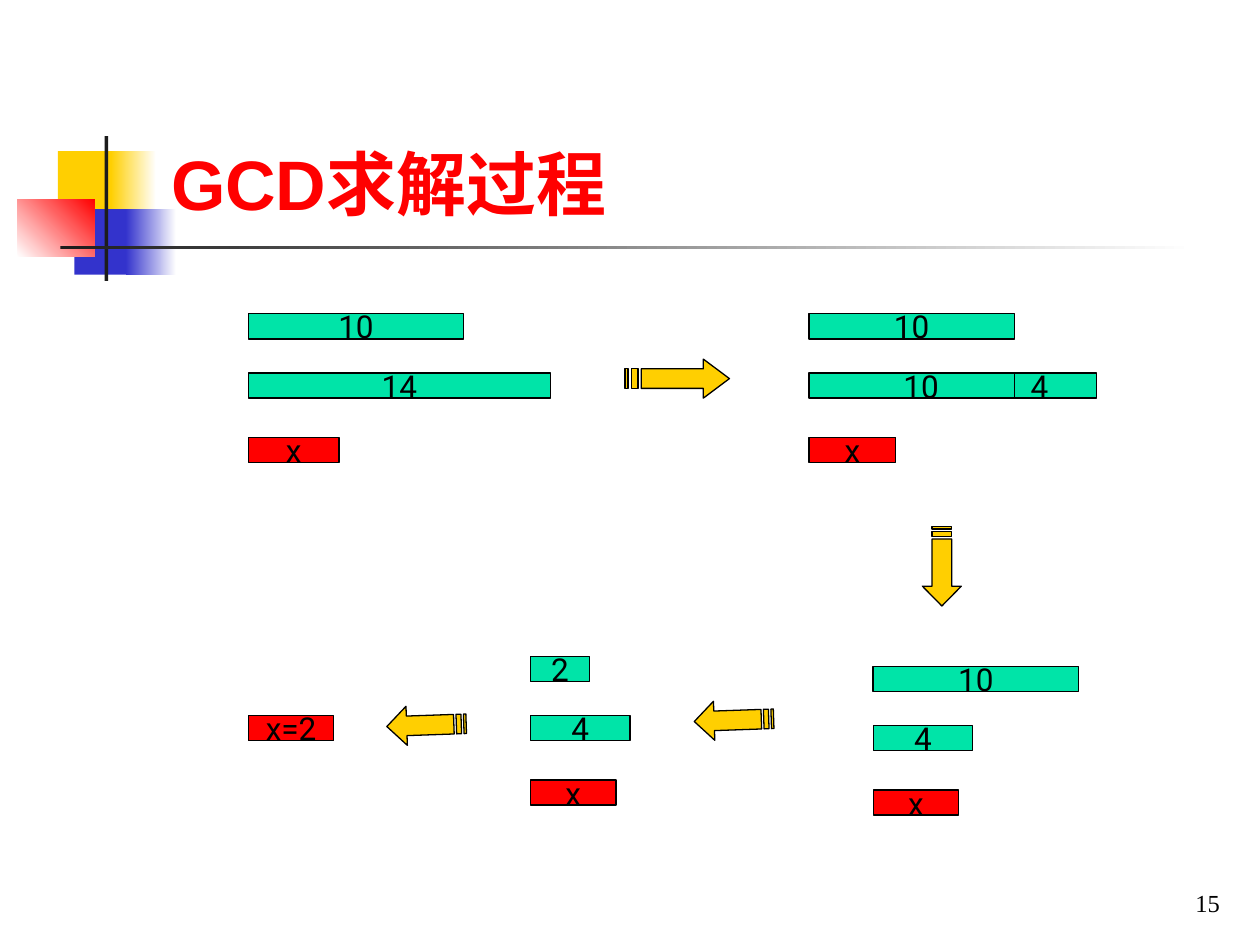
from lxml import etree
from pptx import Presentation
from pptx.dml.color import RGBColor
from pptx.enum.shapes import MSO_CONNECTOR, MSO_SHAPE
from pptx.enum.text import MSO_ANCHOR, PP_ALIGN
from pptx.oxml.ns import qn
from pptx.util import Inches, Pt

RECTANGLE = MSO_SHAPE.RECTANGLE
STRAIGHT = MSO_CONNECTOR.STRAIGHT
LEFT, CENTER, RIGHT = PP_ALIGN.LEFT, PP_ALIGN.CENTER, PP_ALIGN.RIGHT
MIDDLE, BOTTOM = MSO_ANCHOR.MIDDLE, MSO_ANCHOR.BOTTOM

COLORS = {
    "yellow": "FFCF01", "blue": "3333CC", "red": "FF0000", "green": "00E4A8",
    "dark": "1C1C1C", "black": "000000", "white": "FFFFFF",
}
RGB = {name: RGBColor.from_string(value) for name, value in COLORS.items()}


def write(shape, text, size=18, font="Roboto", color="black", bold=False,
          align=CENTER, anchor=MIDDLE, wrap=False):
    frame = shape.text_frame
    frame.word_wrap = wrap
    frame.vertical_anchor = anchor
    paragraph = frame.paragraphs[0]
    paragraph.alignment = align
    run = paragraph.add_run()
    run.text = text
    run.font.size = Pt(size)
    run.font.name = font
    run.font.bold = bold
    run.font.color.rgb = RGB[color]
    return paragraph


def add_block(shapes, left, top, width, height, color, end_color=None, angle=0, outline=False):
    block = shapes.add_shape(RECTANGLE, Inches(left), Inches(top), Inches(width), Inches(height))
    block.shadow.inherit = False
    if end_color:
        block.fill.gradient()
        block.fill.gradient_angle = angle
        for stop, name in zip(block.fill.gradient_stops, (color, end_color)):
            stop.color.rgb = RGB[name]
    else:
        block.fill.solid()
        block.fill.fore_color.rgb = RGB[color]
    if outline:
        block.line.color.rgb = RGB["black"]
        block.line.width = Pt(0.75)
    else:
        block.line.fill.background()
    return block


presentation = Presentation()
presentation.slide_width, presentation.slide_height = Inches(10), Inches(7.5)
slide = presentation.slides.add_slide(presentation.slide_layouts[6])

# Corner decoration: left, top, width, height, color, end color, angle
for decoration in [
    (0.46, 1.2, 0.48, 0.52, "yellow"),
    (0.88, 1.2, 0.36, 0.52, "yellow", "white"),
    (0.59, 1.66, 0.46, 0.52, "blue"),
    (1, 1.66, 0.4, 0.52, "blue", "white"),
    (0.14, 1.58, 0.61, 0.46, "white", "red", 45),
    (0.83, 1.08, 0.03, 1.15, "dark"),
    (0.48, 1.95, 9, 0.03, "dark", "white"),
]:
    add_block(slide.shapes, *decoration)

# Title
title = slide.shapes.add_textbox(Inches(1.26), Inches(0.23), Inches(8.52), Inches(1.6))
write(title, "GCD求解过程", size=40, font="Arial", color="red", bold=True,
      align=LEFT, anchor=BOTTOM, wrap=True)

# Steps: three bars each, at the same row offsets
BAR_HEIGHT = 0.2
ROW_OFFSETS = (0, 0.47, 0.98)
ROW_COLORS = ("green", "green", "red")
steps = [
    (1.97, 2.49, [("10", 1.71), ("14", 2.4), ("x", 0.72)]),
    (6.42, 2.49, [("10", 1.63), ("10\t4", 2.28), ("x", 0.69)]),
    (6.93, 5.29, [("10", 1.63), ("4", 0.79), ("x", 0.68)]),
    (4.21, 5.21, [("2", 0.47), ("4", 0.79), ("x", 0.68)]),
]
for left, top, bars in steps:
    group = slide.shapes.add_group_shape()
    for (label, width), offset, color in zip(bars, ROW_OFFSETS, ROW_COLORS):
        bar = add_block(group.shapes, left, top + offset, width, BAR_HEIGHT, color, outline=True)
        if "\t" not in label:
            write(bar, label)
            continue
        # Split bar: two numbers on a tab stop, with a divider where 10 ends
        paragraph = write(bar, label, align=LEFT, wrap=True)
        bar.text_frame.margin_left = Inches(0.75)
        tabs = etree.SubElement(paragraph._p.get_or_add_pPr(), qn("a:tabLst"))
        etree.SubElement(tabs, qn("a:tab"), pos=str(Inches(1.01)), algn="l")
        divider_x = Inches(left + bars[0][1])
        divider = group.shapes.add_connector(
            STRAIGHT, divider_x, Inches(top + offset),
            divider_x, Inches(top + offset + BAR_HEIGHT))
        divider.line.color.rgb = RGB["black"]
        divider.line.width = Pt(0.75)
        etree.SubElement(divider._element.spPr, qn("a:effectLst"))

# Result
result = add_block(slide.shapes, 1.97, 5.68, 0.68, BAR_HEIGHT, "red", outline=True)
write(result, "x=2")

# Striped arrows: outlines in fractions of width and height
ARROW_HEIGHT = 0.31
ARROW_OUTLINES = [
    [(3/4, 0), (3/4, 1/4), (5/32, 1/4), (5/32, 3/4), (3/4, 3/4), (3/4, 1), (1, 1/2)],
    [(1/16, 1/4), (1/16, 3/4), (1/8, 3/4), (1/8, 1/4)],
    [(0, 1/4), (0, 3/4), (1/32, 3/4), (1/32, 1/4)],
]
for left, top, width, rotation in [
    (4.96, 2.85, 0.83, 0), (7.16, 4.34, 0.63, 90),
    (5.51, 5.56, 0.63, 178), (3.07, 5.6, 0.63, 178),
]:
    builder = None
    for outline in ARROW_OUTLINES:
        points = [(Inches(left + x * width), Inches(top + y * ARROW_HEIGHT)) for x, y in outline]
        if builder is None:
            builder = slide.shapes.build_freeform(*points[0])
        else:
            builder.move_to(*points[0])
        builder.add_line_segments(points[1:], close=True)
    arrow = builder.convert_to_shape()
    arrow.shadow.inherit = False
    arrow.rotation = rotation
    arrow.fill.solid()
    arrow.fill.fore_color.rgb = RGB["yellow"]
    arrow.line.color.rgb = RGB["black"]
    arrow.line.width = Pt(0.75)

# Slide number
number = slide.shapes.add_textbox(Inches(7.7), Inches(6.83), Inches(2.08), Inches(0.5))
write(number, "15", size=14, font="Times New Roman", align=RIGHT, anchor=BOTTOM, wrap=True)

presentation.save("out.pptx")
